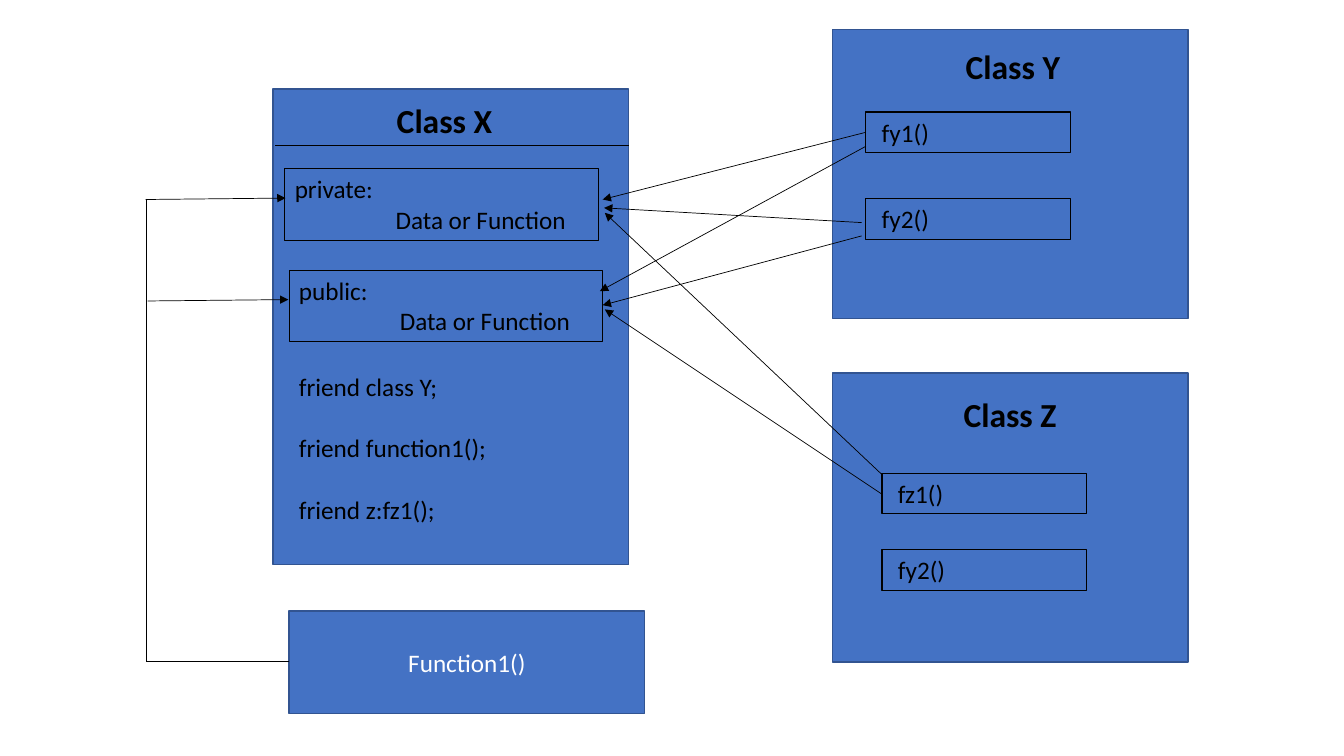
"""Build the friend class and friend function diagram."""
import pptx
import pptx.dml.color
import pptx.enum.shapes
import pptx.enum.text
import pptx.oxml
import pptx.oxml.ns
import pptx.util

Pt = pptx.util.Pt
ALIGN = pptx.enum.text.PP_ALIGN
ANCHOR = pptx.enum.text.MSO_ANCHOR
COLORS = {"panel": "4472C4", "edge": "325491", "ink": "000000", "light": "FFFFFF"}
FONT = "Calibri"
PANEL_WIDTH = 254


def rgb(name):
    """Return the named colour."""
    return pptx.dml.color.RGBColor.from_string(COLORS[name])


class Diagram:
    """Hold the style and the current page."""

    def __init__(self, page):
        """Draw on the given page."""
        self.page = page

    def box(self, left, top, width, height, fill=None, edge="ink", weight=0.75):
        """Add a rectangle, filled or only outlined."""
        box = self.page.shapes.add_shape(
            pptx.enum.shapes.MSO_SHAPE.RECTANGLE,
            Pt(left), Pt(top), Pt(width), Pt(height))
        box.shadow.inherit = False
        if fill:
            box.fill.solid()
            box.fill.fore_color.rgb = rgb(fill)
        else:
            box.fill.background()
        box.line.color.rgb = rgb(edge)
        box.line.width = Pt(weight)
        return box

    def panel(self, left, top, height):
        """Add a blue panel."""
        return self.box(left, top, PANEL_WIDTH, height, "panel", "edge", 1)

    def label(self, box, lines, size=18, color="ink", bold=False,
              align=ALIGN.LEFT, anchor=ANCHOR.TOP):
        """Fill a box with one paragraph per line and return the paragraphs."""
        frame = box.text_frame
        frame.word_wrap = True
        frame.vertical_anchor = anchor
        frame.text = "\n".join(lines)
        for para in frame.paragraphs:
            para.alignment = align
            for span in para.runs:
                span.font.name = FONT
                span.font.size = Pt(size)
                span.font.bold = bold
                span.font.color.rgb = rgb(color)
        return frame.paragraphs

    def text(self, left, top, width, height, lines, **style):
        """Add a text box and return its paragraphs."""
        box = self.page.shapes.add_textbox(Pt(left), Pt(top), Pt(width), Pt(height))
        return self.label(box, lines, **style)

    def title(self, left, top, name):
        """Add a class name."""
        self.text(left, top, 258, 36, [name], size=24, bold=True, align=ALIGN.CENTER)

    def section(self, left, top, access):
        """Add an access section with its indented member line."""
        box = self.box(left, top, 224, 51)
        members = self.label(box, [access, "Data or Function"])[1]
        properties = members._p.get_or_add_pPr()
        properties.set("marL", str(Pt(72)))
        properties.set("indent", "0")

    def method(self, left, top, name):
        """Add a method box."""
        box = self.box(left, top, 146, 29)
        box.text_frame.margin_left = Pt(11.3)
        self.label(box, [name])

    def line(self, start, end, arrow=False):
        """Add a thin line, with an arrowhead at its end if asked."""
        line = self.page.shapes.add_connector(
            pptx.enum.shapes.MSO_CONNECTOR.STRAIGHT,
            *(Pt(value) for value in start + end))
        line.line.color.rgb = rgb("ink")
        line.line.width = Pt(0.5)
        if arrow:
            head = pptx.oxml.parse_xml(
                '<a:tailEnd %s type="triangle"/>' % pptx.oxml.ns.nsdecls("a"))
            line.line._get_or_add_ln().append(head)
        line._element.spPr.append(pptx.oxml.parse_xml(
            "<a:effectLst %s/>" % pptx.oxml.ns.nsdecls("a")))


def draw_class_x(diagram):
    """Draw the class that grants friendship."""
    diagram.panel(195, 63.5, 340)
    diagram.line((196.5, 104), (449.5, 104))
    diagram.title(188.5, 67.5, "Class X")
    diagram.section(203.5, 120.5, "private:")
    diagram.section(206.5, 193, "public:")
    friends = diagram.text(206.5, 262, 224, 117, [
        "friend class Y;", "friend function1();", "friend z:fz1();"])
    for para in friends[1:]:
        para.space_before = Pt(22)


def draw_friends(diagram):
    """Draw the two other classes and the free function."""
    classes = [
        ("Class Y", 21, (594.5, 29), 618.5, [("fy1()", 80), ("fy2()", 142)]),
        ("Class Z", 266.5, (592.5, 278), 630, [("fz1()", 338), ("fy2()", 392.5)]),
    ]
    for name, top, title_at, method_left, methods in classes:
        diagram.panel(594.5, top, 206.5)
        diagram.title(*title_at, name)
        for method, method_top in methods:
            diagram.method(method_left, method_top, method)
    function = diagram.panel(206.5, 436.5, 73)
    diagram.label(function, ["Function1()"], color="light",
                  align=ALIGN.CENTER, anchor=ANCHOR.MIDDLE)


def draw_access(diagram):
    """Draw the access arrows and the trunk from the free function."""
    arrows = [
        ((630, 353), (432, 221)), ((630, 339), (432, 152)),
        ((618.5, 94.5), (430.5, 142.5)), ((618.5, 104.5), (428.5, 208)),
        ((615.5, 159), (431.5, 148.5)), ((615.5, 168.5), (430.5, 218)),
        ((104, 142.5), (204, 141.5)), ((105.5, 215), (206, 214)),
    ]
    for start, end in arrows:
        diagram.line(start, end, arrow=True)
    diagram.line((104.5, 142), (104.5, 472.5))
    diagram.line((206.5, 472.5), (104, 472.5))


def main():
    """Build and save the deck."""
    deck = pptx.Presentation()
    deck.slide_width, deck.slide_height = Pt(960), Pt(540)
    diagram = Diagram(deck.slides.add_slide(deck.slide_layouts[6]))
    draw_class_x(diagram)
    draw_friends(diagram)
    draw_access(diagram)
    deck.save("out.pptx")


main()
